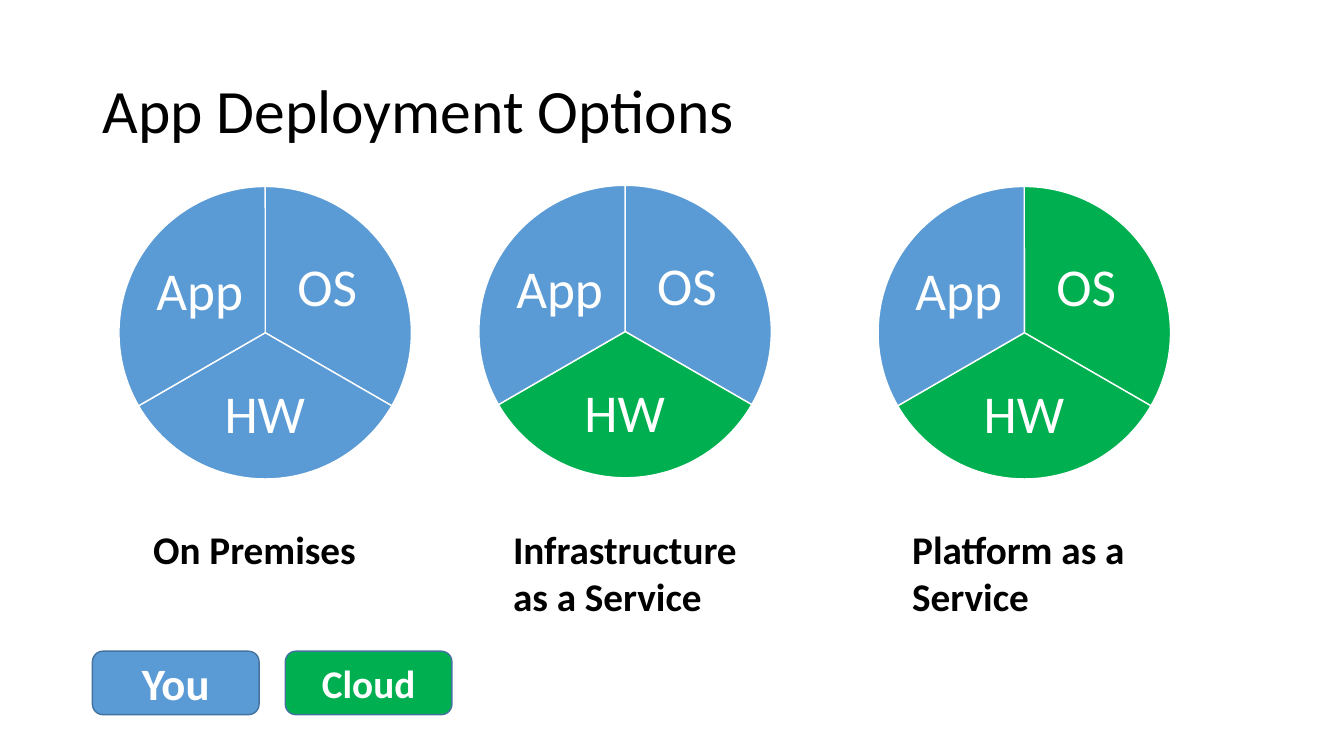
from pptx import Presentation
from pptx.dml.color import RGBColor
from pptx.enum.shapes import MSO_SHAPE
from pptx.enum.text import MSO_ANCHOR, MSO_AUTO_SIZE, PP_ALIGN
from pptx.util import Cm, Pt

BLUE = RGBColor(0x5B, 0x9B, 0xD5)
GREEN = RGBColor(0x00, 0xB0, 0x50)
EDGE = RGBColor(0x43, 0x73, 0x9E)
WHITE = RGBColor(0xFF, 0xFF, 0xFF)
BLACK = RGBColor(0x00, 0x00, 0x00)

PIE_SIZE = 7.37
# Name, start and end angle in degrees, label box within the pie in cm
PARTS = [
    ("OS", 270, 30, (4.0, 1.37, 2.49, 2.46)),
    ("HW", 30, 150, (2.01, 4.65, 3.33, 2.29)),
    ("App", 150, 270, (0.79, 1.45, 2.49, 2.46)),
]
# Caption, left, top, caption height, colours in the order of PARTS
OPTIONS = [
    ("On Premises", 3.0, 4.7, 1.45, (BLUE, BLUE, BLUE)),
    ("Infrastructure as a Service", 12.07, 4.67, 2.64, (BLUE, GREEN, BLUE)),
    ("Platform as a Service", 22.13, 4.7, 2.64, (GREEN, GREEN, BLUE)),
]
OWNERS = [("You", BLUE, 32), ("Cloud", GREEN, 28)]


def write(frame, text, size, color, bold=False, align=PP_ALIGN.LEFT):
    frame.text = text
    frame.word_wrap = True
    line = frame.paragraphs[0]
    line.alignment = align
    font = line.runs[0].font
    font.name = "Calibri"
    font.size = Pt(size)
    font.bold = bold
    font.color.rgb = color
    return line


def paint(shape, fill, edge):
    shape.shadow.inherit = False
    shape.fill.solid()
    shape.fill.fore_color.rgb = fill
    shape.line.color.rgb = edge
    shape.line.width = Pt(1)


def add_title(slide, text):
    title = slide.shapes.title
    title.left, title.top = Cm(2.33), Cm(1.01)
    title.width, title.height = Cm(29.21), Cm(3.68)
    frame = title.text_frame
    frame.vertical_anchor = MSO_ANCHOR.MIDDLE
    write(frame, text, 44, BLACK).line_spacing = 0.9


def add_label(shapes, text, left, top, width, height):
    box = shapes.add_textbox(Cm(left), Cm(top), Cm(width), Cm(height))
    frame = box.text_frame
    frame.vertical_anchor = MSO_ANCHOR.MIDDLE
    frame.margin_left = frame.margin_right = Cm(0.13)
    frame.margin_top = frame.margin_bottom = Cm(0.13)
    write(frame, text, 38, WHITE, align=PP_ALIGN.CENTER).line_spacing = 0.9


def add_pie(slide, left, top, colors):
    shapes = slide.shapes.add_group_shape().shapes
    for (name, start, end, (x, y, width, height)), color in zip(PARTS, colors):
        wedge = shapes.add_shape(
            MSO_SHAPE.PIE, Cm(left), Cm(top), Cm(PIE_SIZE), Cm(PIE_SIZE))
        # Angles are stored in 60000ths of a degree, adjustments in 100000ths
        wedge.adjustments[0] = start * 0.6
        wedge.adjustments[1] = end * 0.6
        paint(wedge, color, WHITE)
        add_label(shapes, name, left + x, top + y, width, height)


def add_caption(slide, text, left, height):
    box = slide.shapes.add_textbox(Cm(left), Cm(13.11), Cm(6.48), Cm(height))
    write(box.text_frame, text, 28, BLACK, bold=True)
    box.text_frame.auto_size = MSO_AUTO_SIZE.SHAPE_TO_FIT_TEXT


def add_key(slide, text, left, color, size):
    key = slide.shapes.add_shape(
        MSO_SHAPE.ROUNDED_RECTANGLE, Cm(left), Cm(16.41), Cm(4.2), Cm(1.6))
    paint(key, color, EDGE)
    key.text_frame.vertical_anchor = MSO_ANCHOR.MIDDLE
    write(key.text_frame, text, size, WHITE, bold=True, align=PP_ALIGN.CENTER)


def main():
    deck = Presentation()
    deck.slide_width, deck.slide_height = Cm(33.87), Cm(19.05)
    slide = deck.slides.add_slide(deck.slide_layouts[5])
    add_title(slide, "App Deployment Options")
    for caption, left, top, height, colors in OPTIONS:
        add_pie(slide, left, top, colors)
        add_caption(slide, caption, left + 0.61, height)
    for i, (owner, color, size) in enumerate(OWNERS):
        add_key(slide, owner, 2.33 + i * 4.86, color, size)
    deck.save("out.pptx")


if __name__ == "__main__":
    main()
